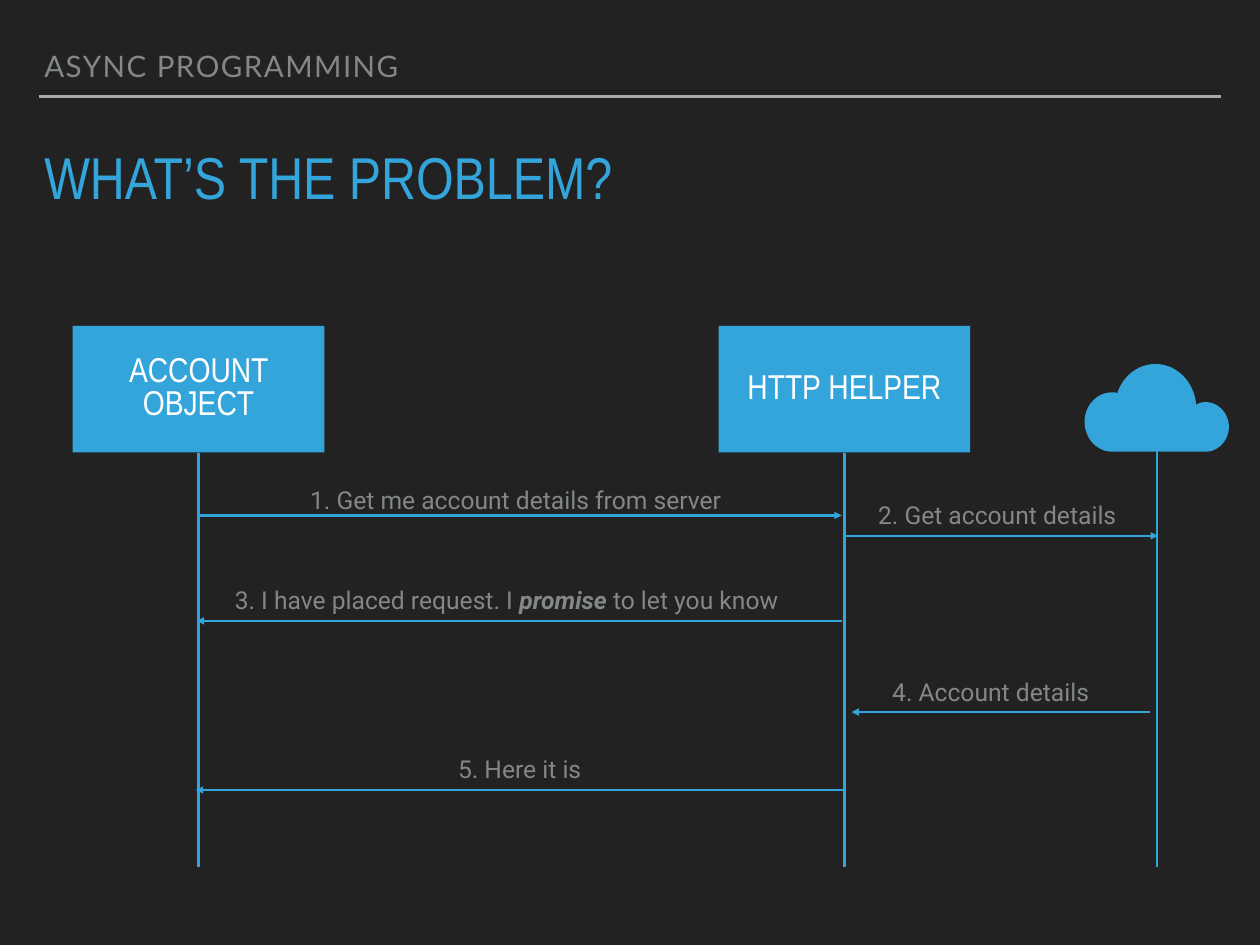
"""Build a sequence diagram slide about asynchronous requests."""
from lxml.etree import SubElement
from pptx import Presentation
from pptx.dml.color import RGBColor
from pptx.enum.shapes import MSO_CONNECTOR, MSO_SHAPE
from pptx.enum.text import MSO_ANCHOR, PP_ALIGN
from pptx.oxml.ns import qn
from pptx.util import Inches, Pt

THEME = {
    "background": RGBColor.from_string("222222"),
    "accent": RGBColor.from_string("34A5DA"),
    "rule": RGBColor.from_string("A6AAA9"),
    "stroke": Pt(2),
    "inset": Inches(0.06),
    "header": {"name": "Lato", "size": Pt(24), "color": "838787"},
    "title": {"name": "Arial Narrow", "size": Pt(48), "color": "34A5DA"},
    "actor": {"name": "Arial Narrow", "size": Pt(28), "color": "FFFFFF"},
    "label": {"name": "Roboto", "size": Pt(20), "color": "838787"},
}
EMPHASIS = {"bold": True, "italic": True}

HEADER = "ASYNC PROGRAMMING"
TITLE = "WHAT’S THE PROBLEM?"
ACTORS = [("ACCOUNT OBJECT", 0.82), ("HTTP HELPER", 8.11)]
ACTOR_TOP, ACTOR_WIDTH, ACTOR_HEIGHT = 3.68, 2.84, 1.43
LIFELINE_BOTTOM = 9.79
CLOUD_X, CLOUD_TOP = 13.06, 5.03
LABEL_HEIGHT = 0.49

# (text parts, start x, end x, y, label left, label width, label lift)
MESSAGES = [
    ([("1. Get me account details from server", {})], 2.22, 9.5, 5.82, 3.44, 4.88, 0.42),
    ([("2. Get account details", {})], 9.52, 13.07, 6.05, 9.85, 2.88, 0.48),
    ([("3. I have placed request. I ", {}), ("promise", EMPHASIS), (" to let you know", {})],
     9.5, 2.22, 7.01, 2.59, 6.55, 0.48),
    ([("4. Account details", {})], 12.98, 9.61, 8.04, 10.01, 2.39, 0.48),
    ([("5. Here it is", {})], 9.55, 2.21, 8.92, 5.11, 1.54, 0.49),
]

CLOUD_START = (13.04, 4.11)
CLOUD_CURVES = [
    [(12.84, 4.11), (12.67, 4.25), (12.61, 4.44)],
    [(12.59, 4.43), (12.57, 4.43), (12.55, 4.43)],
    [(12.38, 4.43), (12.24, 4.58), (12.24, 4.76)],
    [(12.24, 4.95), (12.38, 5.1), (12.55, 5.1)],
    [(13.61, 5.1)],
    [(13.75, 5.1), (13.87, 4.97), (13.87, 4.82)],
    [(13.87, 4.67), (13.75, 4.54), (13.61, 4.54)],
    [(13.57, 4.54), (13.53, 4.55), (13.5, 4.57)],
    [(13.48, 4.31), (13.28, 4.11), (13.04, 4.11)],
]
CURVE_STEPS = 12


def set_all(target, values):
    for name, value in values.items():
        setattr(target, name, value)


def write(shape, parts, style, frame_format, para_format):
    frame = shape.text_frame
    margins = {f"margin_{side}": THEME["inset"] for side in ("left", "right", "top", "bottom")}
    set_all(frame, margins | frame_format)
    para = frame.paragraphs[0]
    set_all(para, para_format)
    for text, emphasis in parts:
        span = para.add_run()
        span.text = text
        set_all(span.font, {"name": style["name"], "size": style["size"]} | emphasis)
        span.font.color.rgb = RGBColor.from_string(style["color"])
    return para


def add_text(page, box, parts, style, frame_format, para_format):
    shape = page.shapes.add_textbox(*map(Inches, box))
    return write(shape, parts, style, frame_format, para_format)


def paint(shape):
    shape.shadow.inherit = False
    shape.fill.solid()
    shape.fill.fore_color.rgb = THEME["accent"]
    shape.line.fill.background()


def add_line(page, start, end, color, arrow=False):
    line = page.shapes.add_connector(MSO_CONNECTOR.STRAIGHT, *map(Inches, start + end))
    line.line.color.rgb = color
    line.line.width = THEME["stroke"]
    if arrow:
        SubElement(line.line._get_or_add_ln(), qn("a:tailEnd"), type="triangle")
    SubElement(line._element.spPr, qn("a:effectLst"))
    return line


def curve_points(start, curve):
    if len(curve) == 1:
        return curve
    weights = (1, 3, 3, 1)
    points = []
    for step in range(1, CURVE_STEPS + 1):
        t = step / CURVE_STEPS
        points.append(tuple(
            sum(weight * (1 - t) ** (3 - power) * t ** power * value
                for power, (weight, value) in enumerate(zip(weights, values)))
            for values in zip(start, *curve)))
    return points


def add_cloud(page):
    outline = [CLOUD_START]
    for curve in CLOUD_CURVES:
        outline += curve_points(outline[-1], curve)
    points = [(Inches(x), Inches(y)) for x, y in outline]
    builder = page.shapes.build_freeform(*points[0])
    builder.add_line_segments(points[1:], close=True)
    paint(builder.convert_to_shape())


def add_actor(page, name, left):
    box = (left, ACTOR_TOP, ACTOR_WIDTH, ACTOR_HEIGHT)
    actor = page.shapes.add_shape(MSO_SHAPE.RECTANGLE, *map(Inches, box))
    paint(actor)
    write(actor, [(name, {})], THEME["actor"],
          {"word_wrap": True, "vertical_anchor": MSO_ANCHOR.MIDDLE},
          {"alignment": PP_ALIGN.CENTER, "line_spacing": 0.8})
    center = left + ACTOR_WIDTH / 2
    lifeline = add_line(page, (center, LIFELINE_BOTTOM),
                        (center, ACTOR_TOP + ACTOR_HEIGHT), THEME["accent"])
    lifeline.end_connect(actor, 2)


def add_message(page, parts, start, end, y, left, width, lift):
    add_line(page, (start, y), (end, y), THEME["accent"], arrow=True)
    add_text(page, (left, y - lift, width, LABEL_HEIGHT), parts, THEME["label"],
             {"word_wrap": False, "vertical_anchor": MSO_ANCHOR.MIDDLE}, {})


def main():
    deck = Presentation()
    set_all(deck, {"slide_width": Inches(14.22), "slide_height": Inches(10.67)})
    page = deck.slides.add_slide(deck.slide_layouts[6])
    page.background.fill.solid()
    page.background.fill.fore_color.rgb = THEME["background"]

    add_line(page, (0.44, 1.09), (13.78, 1.09), THEME["rule"])
    header = add_text(page, (0.44, 0.5, 12.22, 0.5), [(HEADER, {})], THEME["header"],
                      {"word_wrap": True, "vertical_anchor": MSO_ANCHOR.BOTTOM},
                      {"line_spacing": 0.8})
    header.runs[0].font._element.set("spc", "120")
    add_text(page, (0.44, 1.68, 13.33, 0.79), [(TITLE, {})], THEME["title"],
             {"word_wrap": True, "vertical_anchor": MSO_ANCHOR.TOP}, {"line_spacing": 0.8})

    for name, left in ACTORS:
        add_actor(page, name, left)
    add_cloud(page)
    add_line(page, (CLOUD_X, LIFELINE_BOTTOM), (CLOUD_X, CLOUD_TOP), THEME["accent"])
    for message in MESSAGES:
        add_message(page, *message)
    deck.save("out.pptx")


if __name__ == "__main__":
    main()
